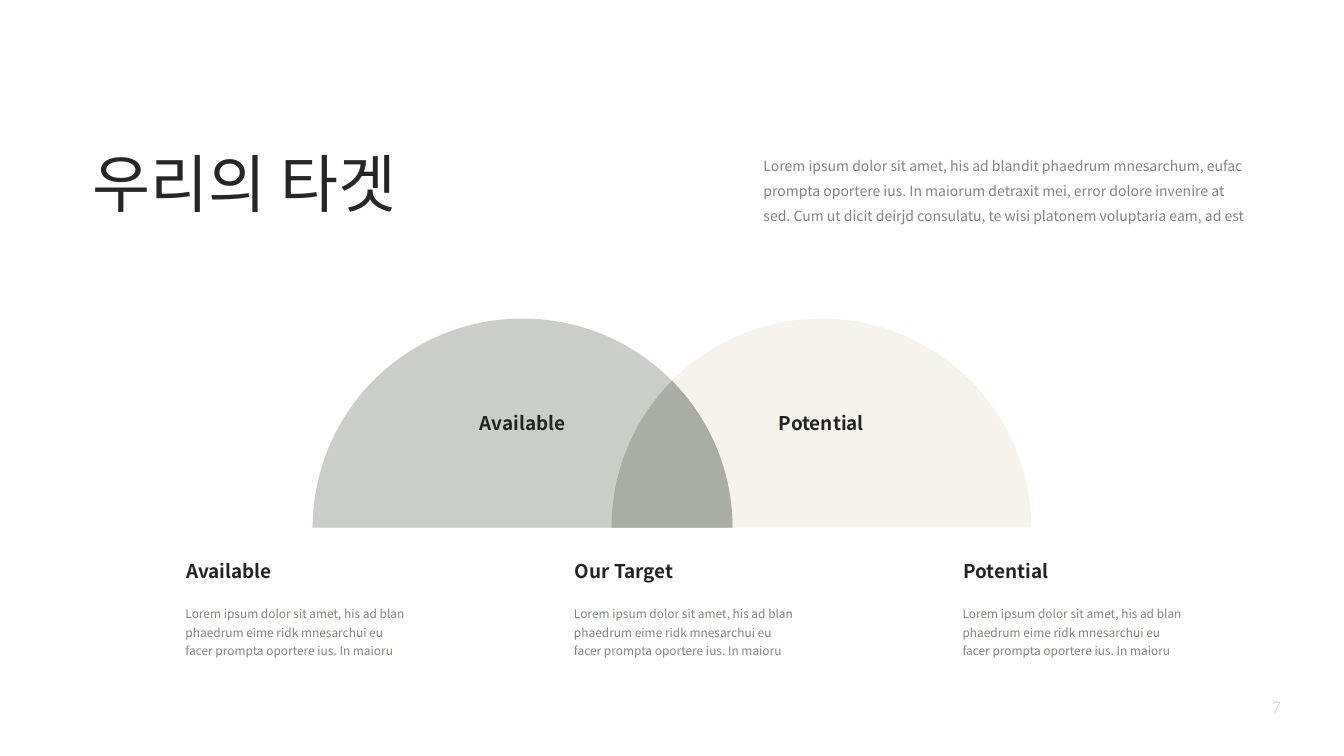
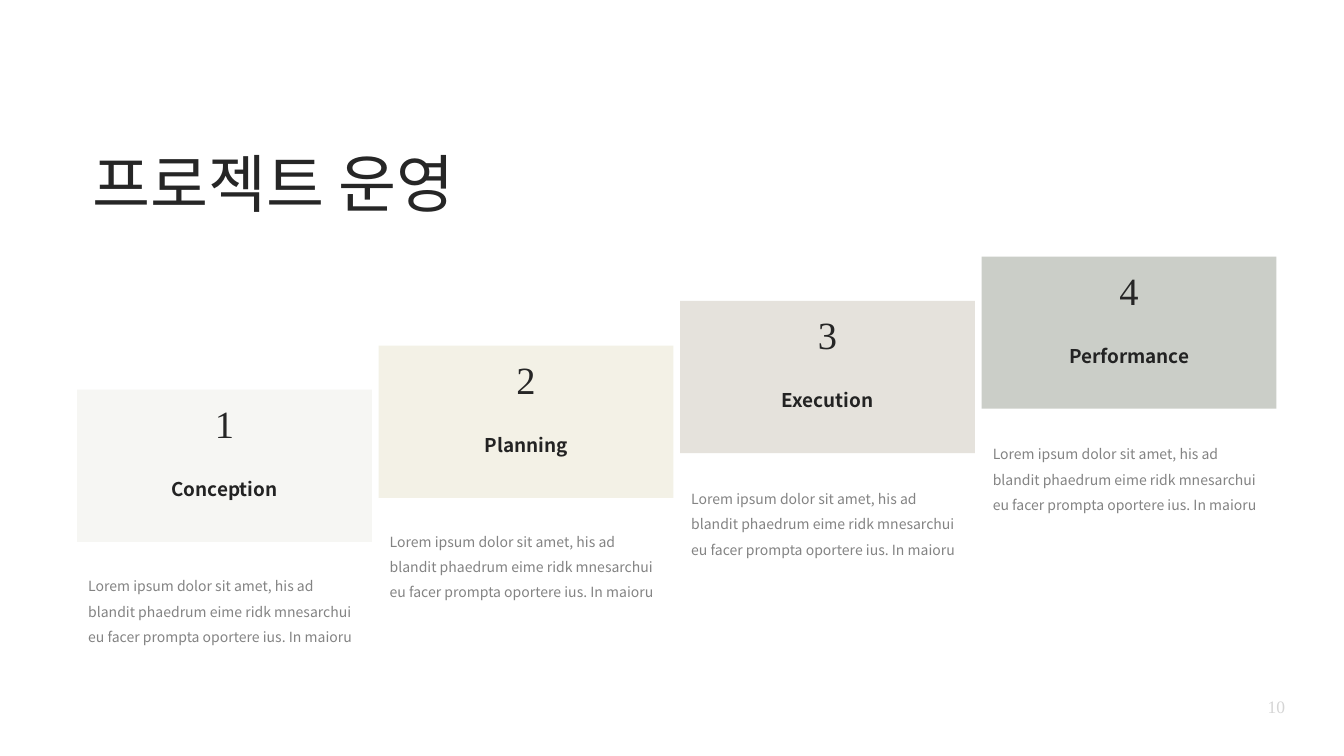
from dataclasses import dataclass
from math import acos, cos, pi, sin, tan

from lxml.etree import SubElement
from pptx import Presentation
from pptx.dml.color import RGBColor
from pptx.enum.shapes import MSO_SHAPE
from pptx.enum.text import MSO_ANCHOR, MSO_AUTO_SIZE, PP_ALIGN
from pptx.oxml.ns import qn
from pptx.util import Inches, Pt


@dataclass(frozen=True)
class Theme:
    sans: str = "Noto Sans CJK KR"
    serif: str = "Times New Roman"
    ink: str = "262626"
    label: str = "232323"
    body: str = "838383"
    caption: str = "818779"
    page: str = "D5D5D5"
    sage: str = "A9ADA4"
    cream: str = "F3F1E6"
    mist: str = "F6F6F3"
    sand: str = "E5E2DC"
    silver: str = "CBCEC8"
    title_size: int = 90
    number_size: int = 55
    label_size: int = 27
    page_size: int = 25
    body_size: int = 20
    caption_size: int = 17


@dataclass(frozen=True)
class Circle:
    label: str
    cx: float
    color: str
    opacity: int


@dataclass(frozen=True)
class Column:
    heading: str
    text: str


@dataclass(frozen=True)
class Step:
    name: str
    color: str
    top: float
    text_top: float


T = Theme()
LABEL = dict(size=T.label_size, color=T.label, bold=True)
BODY = dict(size=T.body_size, color=T.body, spacing=1.5)

INTRO = ("Lorem ipsum dolor sit amet, his ad blandit phaedrum mnesarchum, eufac "
         "prompta oportere ius. In maiorum detraxit mei, error dolore invenire at "
         "sed. Cum ut dicit deirjd consulatu, te wisi platonem voluptaria eam, ad est")
COLUMN_TEXT = ("Lorem ipsum dolor sit amet, his ad blan phaedrum eime ridk mnesarchui eu "
               "facer prompta oportere ius. In maioru")
STEP_TEXT = ("Lorem ipsum dolor sit amet, his ad blandit phaedrum eime ridk mnesarchui "
             "eu facer prompta oportere ius. In maioru")

RX, RY, BASELINE = 8.33 / 2, 4.15, 10.47
POTENTIAL = Circle("Potential", 16.3, T.cream, 80)
AVAILABLE = Circle("Available", 10.37, T.sage, 60)
COLUMNS = [Column(h, COLUMN_TEXT) for h in ("Available", "Our Target", "Potential")]
STEPS = [Step("Conception", T.mist, 7.73, 11.24), Step("Planning", T.cream, 6.86, 10.35),
         Step("Execution", T.sand, 5.97, 9.51), Step("Performance", T.silver, 5.09, 8.62)]
STEP_LEFT, STEP_PITCH = 1.53, (19.48 - 1.53) / 3


def write(tf, text: str, *, size: int, color: str, font: str = T.sans, bold: bool = False,
          align=PP_ALIGN.LEFT, anchor=MSO_ANCHOR.TOP, spacing: float = 1.0,
          inset: float = 0.06, top_inset: float | None = None, wrap: bool = True) -> None:
    tf.word_wrap = wrap
    tf.auto_size = MSO_AUTO_SIZE.NONE if wrap else MSO_AUTO_SIZE.SHAPE_TO_FIT_TEXT
    tf.vertical_anchor = anchor
    tf.margin_left = tf.margin_right = tf.margin_bottom = Inches(inset)
    tf.margin_top = Inches(inset if top_inset is None else top_inset)
    p = tf.paragraphs[0]
    p.alignment, p.line_spacing, p.space_before = align, spacing, Pt(0)
    r = p.add_run()
    r.text = text
    r.font.size, r.font.bold, r.font.name = Pt(size), bold, font
    r.font.color.rgb = RGBColor.from_string(color)
    SubElement(r.font._element, qn("a:ea")).set("typeface", font)


def place(sp, x: float, y: float, w: float, h: float) -> None:
    sp.left, sp.top, sp.width, sp.height = map(Inches, (x, y, w, h))


def add_text(s, x: float, y: float, w: float, h: float, text: str, **fmt) -> None:
    sp = s.shapes.add_textbox(Inches(x), Inches(y), Inches(w), Inches(h))
    write(sp.text_frame, text, **fmt)


def paint(sp, color: str, opacity: int = 100) -> None:
    """Give a shape a flat fill with no outline or shadow."""
    sp.shadow.inherit = False
    sp.line.fill.background()
    sp.fill.solid()
    sp.fill.fore_color.rgb = RGBColor.from_string(color)
    if opacity < 100:
        clr = sp._element.spPr.find(".//" + qn("a:srgbClr"))
        SubElement(clr, qn("a:alpha")).set("val", str(opacity * 1000))


def arc(cx: float, start: float, end: float, curves: int = 1) -> list[tuple[int, int]]:
    """Start point, then two handles and an end point for each Bézier curve."""
    step = (end - start) / curves
    k = 4 / 3 * tan(step / 4)

    def point(angle: float, pull: float = 0) -> tuple[int, int]:
        return (Inches(cx + RX * (cos(angle) - pull * sin(angle))),
                Inches(BASELINE - RY * (sin(angle) + pull * cos(angle))))

    points = [point(start)]
    for i in range(curves):
        a, b = start + step * i, start + step * (i + 1)
        points += [point(a, k), point(b, -k), point(b)]
    return points


def add_curved_outline(s, points: list[tuple[int, int]]):
    """Closed freeform whose every three points after the first make one curve."""
    builder = s.shapes.build_freeform(*points[0])
    builder.add_line_segments(points[1:], close=True)
    sp = builder.convert_to_shape()
    lines = list(sp._element.iter(qn("a:lnTo")))[:len(points) - 1]
    for i in range(0, len(lines), 3):
        curve = lines[i].makeelement(qn("a:cubicBezTo"))
        lines[i].addprevious(curve)
        for line in lines[i:i + 3]:
            curve.append(line[0])
            line.getparent().remove(line)
    return sp


def add_half_circle(s, circle: Circle) -> None:
    sp = add_curved_outline(s, arc(circle.cx, pi, 0, curves=4))
    paint(sp, circle.color, circle.opacity)
    write(sp.text_frame, circle.label, **LABEL, align=PP_ALIGN.CENTER,
          anchor=MSO_ANCHOR.MIDDLE, inset=0.09)


def add_overlap(s, left: Circle, right: Circle) -> None:
    meet = acos((right.cx - left.cx) / 2 / RX)
    points = arc(right.cx, pi, pi - meet) + arc(left.cx, meet, 0)[1:]
    paint(add_curved_outline(s, points), T.sage)


def add_column(s, i: int, column: Column) -> None:
    x = 3.62 + 7.71 * i
    add_text(s, x, 11.89, 4.61, 2.26, column.text, size=T.caption_size,
             color=T.caption, spacing=1.3)
    add_text(s, x, 11.02, 4.61, 0.83, column.heading, **LABEL, inset=0.08)


def add_step(s, i: int, step: Step) -> None:
    x, w = STEP_LEFT + STEP_PITCH * i, 5.85
    sp = s.shapes.add_shape(MSO_SHAPE.RECTANGLE, Inches(x), Inches(step.top),
                            Inches(w), Inches(3.02))
    paint(sp, step.color)
    write(sp.text_frame, step.name, **LABEL, align=PP_ALIGN.CENTER,
          anchor=MSO_ANCHOR.MIDDLE, top_inset=0.97)
    add_text(s, x + (w - 0.94) / 2, step.top + 0.15, 0.94, 1.5, str(i + 1),
             size=T.number_size, color=T.ink, font=T.serif, align=PP_ALIGN.CENTER)
    add_text(s, x + 0.16, step.text_top, 5.52, 2.26, STEP_TEXT, **BODY)


def new_slide(prs, layout: int, title: str, page: int):
    s = prs.slides.add_slide(prs.slide_layouts[layout])
    place(s.shapes.title, 1.78, 2.82, 11.94, 2.08)
    write(s.shapes.title.text_frame, title, size=T.title_size, color=T.ink, top_inset=0.04)
    add_text(s, 25.08, 13.6, 0.5, 0.53, str(page), size=T.page_size, color=T.page,
             font=T.serif, align=PP_ALIGN.CENTER, top_inset=0.2, wrap=False)
    return s


def add_intro(s, text: str) -> None:
    sp = s.placeholders[1]
    place(sp, 15.09, 2.89, 9.82, 2.21)
    write(sp.text_frame, text, **BODY)
    pPr = sp.text_frame.paragraphs[0]._p.get_or_add_pPr()
    pPr.set("marL", "0")
    pPr.set("indent", "0")
    SubElement(pPr, qn("a:buNone"))


def build_target(prs) -> None:
    s = new_slide(prs, 1, "우리의 타겟", 7)
    add_intro(s, INTRO)
    add_half_circle(s, POTENTIAL)
    add_half_circle(s, AVAILABLE)
    for i, column in enumerate(COLUMNS):
        add_column(s, i, column)
    add_overlap(s, AVAILABLE, POTENTIAL)


def build_operation(prs) -> None:
    s = new_slide(prs, 5, "프로젝트 운영", 10)
    for i, step in enumerate(STEPS):
        add_step(s, i, step)


def main() -> None:
    prs = Presentation()
    prs.slide_width, prs.slide_height = Inches(26.67), Inches(15)
    build_target(prs)
    build_operation(prs)
    prs.save("out.pptx")


if __name__ == "__main__":
    main()
